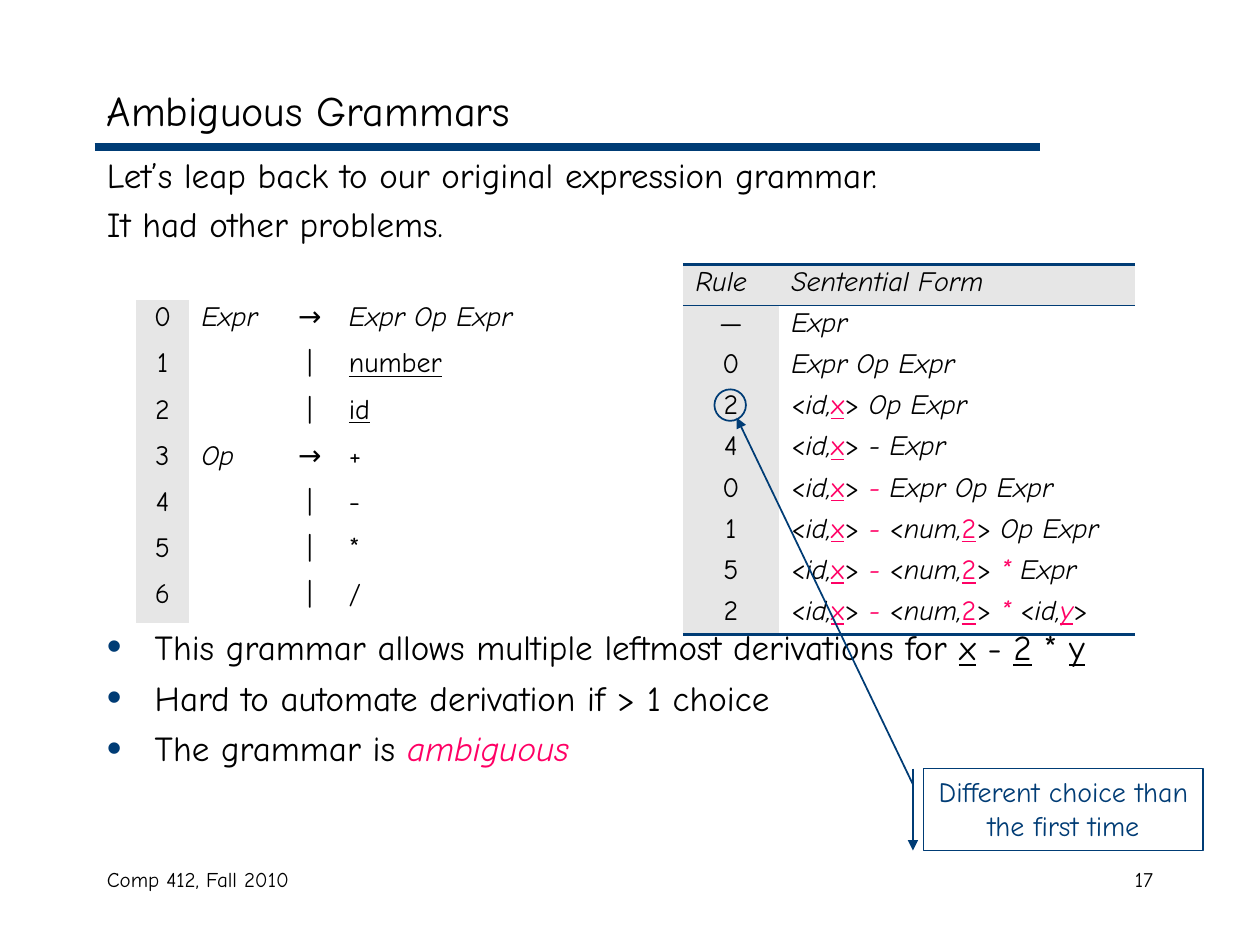
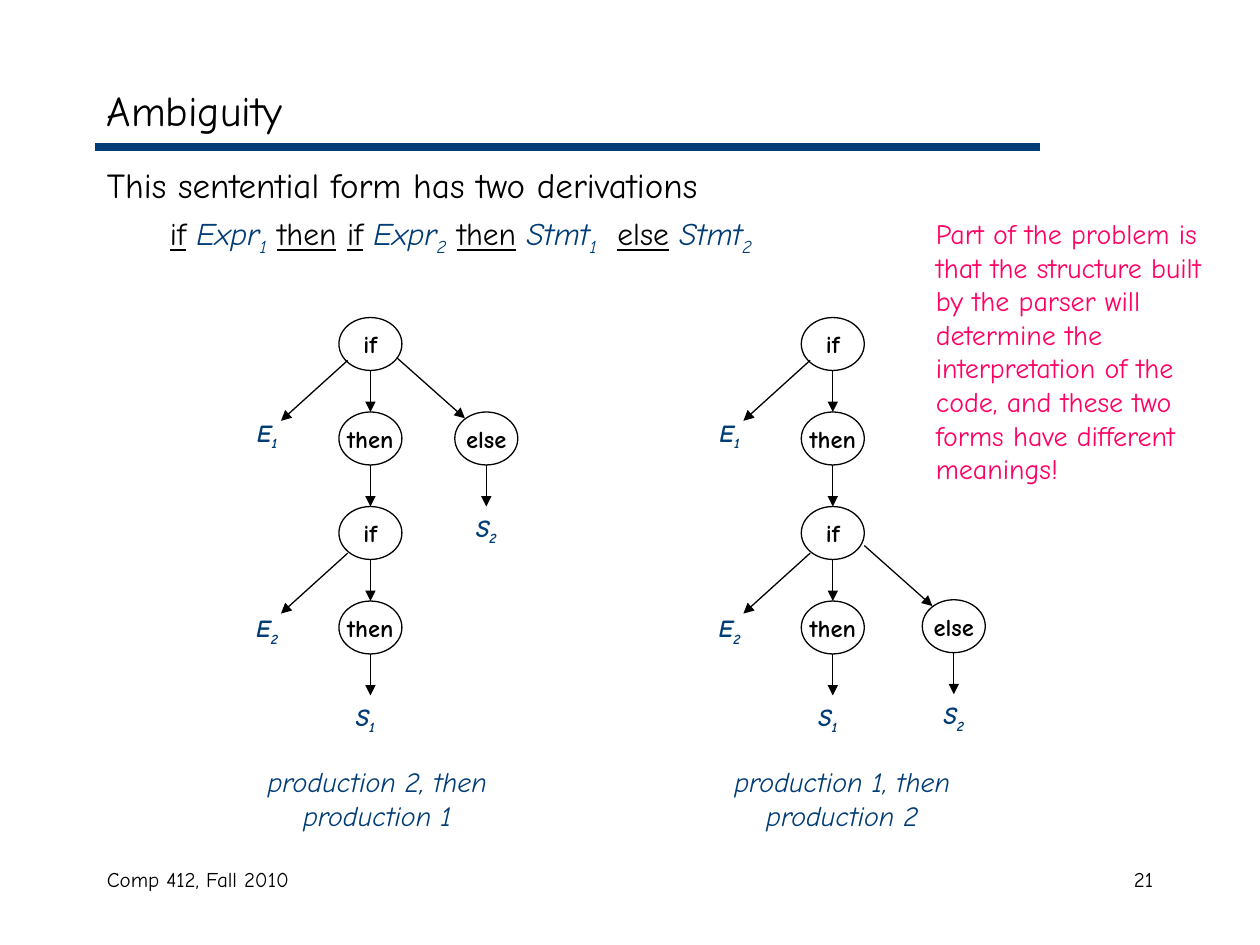
"""Build two lecture slides on ambiguous grammars."""
from lxml import etree
from pptx import Presentation
from pptx.dml.color import RGBColor
from pptx.enum.shapes import MSO_CONNECTOR, MSO_SHAPE
from pptx.enum.text import MSO_ANCHOR, PP_ALIGN
from pptx.oxml.ns import qn
from pptx.util import Inches, Pt

NAVY = RGBColor(0x00, 0x3C, 0x75)
PINK = RGBColor(0xFF, 0x00, 0x65)
GREY = RGBColor(0xE6, 0xE6, 0xE6)
BLACK = RGBColor(0, 0, 0)
FONT = "Comic Neue"
LEFT, CENTER, RIGHT = PP_ALIGN.LEFT, PP_ALIGN.CENTER, PP_ALIGN.RIGHT
TOP, MIDDLE = MSO_ANCHOR.TOP, MSO_ANCHOR.MIDDLE
OVAL = MSO_SHAPE.OVAL
CALLOUT = MSO_SHAPE.LINE_CALLOUT_1_BORDER_AND_ACCENT_BAR
STRAIGHT = MSO_CONNECTOR.STRAIGHT
NO_GRID = "{2D5ABB26-0587-4C30-8999-92F81FD0307C}"
MARKS = {"b": "bold", "i": "italic", "u": "underline"}
INKS = {"n": NAVY, "p": PINK}


def say(para, runs, size=16, align=LEFT):
    """Write (text, marks) runs: b, i, u, n navy, p pink, s subscript."""
    para.alignment = align
    for text, marks in runs:
        run = para.add_run()
        run.text = text
        font = run.font
        font.name, font.size, font.color.rgb = FONT, Pt(size), BLACK
        for mark in marks:
            if mark in MARKS:
                setattr(font, MARKS[mark], True)
            elif mark in INKS:
                font.color.rgb = INKS[mark]
            else:
                run._r.get_or_add_rPr().set("baseline", "-25000")


def box(slide, at, runs, size=16, align=LEFT):
    """Add a wrapping text box and return it."""
    shape = slide.shapes.add_textbox(*map(Inches, at))
    shape.text_frame.word_wrap = True
    say(shape.text_frame.paragraphs[0], runs, size, align)
    return shape


deck = Presentation()
deck.slide_width, deck.slide_height = Inches(10), Inches(7.5)

for title, page in (("Ambiguous Grammars", "17"), ("Ambiguity", "21")):
    slide = deck.slides.add_slide(deck.slide_layouts[6])
    bar = slide.shapes.add_connector(STRAIGHT, Inches(0.75), Inches(1.17), Inches(8.25), Inches(1.17))
    bar.line.color.rgb, bar.line.width = NAVY, Pt(4.5)
    head = box(slide, (0.75, 0.58, 8.5, 0.58), [(title, "")], 24)
    head.text_frame.vertical_anchor = MIDDLE
    box(slide, (0.75, 6.83, 3.17, 0.5), [("Comp 412, Fall 2010", "")], 12)
    box(slide, (7.17, 6.83, 2.08, 0.5), [(page, "")], 12, RIGHT)

first, second = deck.slides

body = box(first, (0.75, 1.17, 8.83, 5.42),
           [("Let’s leap back to our original expression grammar.", "")], 20).text_frame
para = body.add_paragraph()
para.space_before = Pt(4)
say(para, [("It had other problems.", "")], 20)
points = [
    (217.6, [("This grammar allows multiple leftmost derivations for ", ""), ("x", "u"), (" - ", ""),
             ("2", "u"), (" * ", ""), ("y", "u")]),
    (5, [("Hard to automate derivation if > 1 choice", "")]),
    (5, [("The grammar is ", ""), ("ambiguous", "pi")]),
]
for gap, runs in points:
    para = body.add_paragraph()
    props = para._p.get_or_add_pPr()
    props.set("marL", str(Inches(0.38)))
    props.set("indent", str(-Inches(0.38)))
    tint = etree.SubElement(props, qn("a:buClr"))
    etree.SubElement(tint, qn("a:srgbClr"), val=str(NAVY))
    etree.SubElement(props, qn("a:buSzPct"), val="120000")
    etree.SubElement(props, qn("a:buFont"), typeface="Arial")
    etree.SubElement(props, qn("a:buChar"), char="•")
    para.space_before = Pt(gap)
    say(para, runs, 20)

rules = [("Expr", "→", "Expr Op Expr", "i"), ("", "|", "number", "u"), ("", "|", "id", "u"),
         ("Op", "→", "+", ""), ("", "|", "-", ""), ("", "|", "*", ""), ("", "|", "/", "")]
grammar = [[[(str(num), "")], [(name, "i")] if name else [], [(sign, "")], [(form, mark)]]
           for num, (name, sign, form, mark) in enumerate(rules)]

ID_X = [("<", ""), ("id,", "i"), ("x", "pu"), (">", "")]
NUM_2 = [("<", ""), ("num,", "i"), ("2", "pu"), (">", "")]
ID_Y = [("<", ""), ("id,", "i"), ("y", "piu"), (">", "")]
MINUS, TIMES = [(" - ", "pi")], [(" * ", "pi")]
steps = [
    ("—", [("Expr", "i")]),
    ("0", [("Expr Op Expr", "i")]),
    ("2", ID_X + [(" Op Expr", "i")]),
    ("4", ID_X + [(" - Expr", "i")]),
    ("0", ID_X + MINUS + [("Expr Op Expr", "i")]),
    ("1", ID_X + MINUS + NUM_2 + [(" Op Expr", "i")]),
    ("5", ID_X + MINUS + NUM_2 + TIMES + [("Expr", "i")]),
    ("2", ID_X + MINUS + NUM_2 + TIMES + ID_Y),
]
proof = [[[("Rule", "i")], [("Sentential Form", "i")]]]
proof += [[[(rule, "")], form] for rule, form in steps]

tables = [
    ((1.08, 2.38, 3.34, 2.56), (0.42, 0.75, 0.42, 1.75), grammar, (0, 2), None, {}),
    ((5.42, 2.1, 3.59, 2.94), (0.76, 2.83), proof, (0,), 0,
     {0: {"lnT": 2.25, "lnB": 1}, 1: {"lnT": 1}, 8: {"lnB": 2.25}}),
]
for at, widths, rows, mids, top, edges in tables:
    table = first.shapes.add_table(len(rows), len(widths), *map(Inches, at)).table
    table.first_row = table.horz_banding = False
    table._tbl.tblPr.find(qn("a:tableStyleId")).text = NO_GRID
    for col, width in zip(table.columns, widths):
        col.width = Inches(width)
    for r, row in enumerate(rows):
        rims = edges.get(r, {})
        for c, runs in enumerate(row):
            cell = table.cell(r, c)
            para = cell.text_frame.paragraphs[0]
            para.line_spacing = 0.8
            say(para, runs, 16, CENTER if c in mids and r != top else LEFT)
            if not runs:
                etree.SubElement(para._p, qn("a:endParaRPr"), sz="1600")
            if c == 0 or r == top:
                cell.fill.solid()
                cell.fill.fore_color.rgb = GREY
            else:
                cell.fill.background()
            for side in ("lnB", "lnT", "lnR", "lnL"):
                edge = etree.Element(qn("a:" + side))
                if side in rims:
                    edge.set("w", str(Pt(rims[side])))
                    fill = etree.SubElement(edge, qn("a:solidFill"))
                    etree.SubElement(fill, qn("a:srgbClr"), val=str(NAVY))
                else:
                    etree.SubElement(edge, qn("a:noFill"))
                cell._tc.get_or_add_tcPr().insert(0, edge)

ring = first.shapes.add_shape(OVAL, Inches(5.67), Inches(3.09), Inches(0.25), Inches(0.25))
note = first.shapes.add_shape(CALLOUT, Inches(7.33), Inches(6.1), Inches(2.22), Inches(0.65))
for shape in (ring, note):
    shape.shadow.inherit = False
    shape.fill.background()
    shape.line.color.rgb, shape.line.width = NAVY, Pt(1)
for i, value in enumerate((0.194, -0.038, -4.285, -0.668)):
    note.adjustments[i] = value
etree.SubElement(note.line._get_or_add_ln(), qn("a:tailEnd"), type="triangle")
note.text_frame.word_wrap = True
note.text_frame.vertical_anchor = TOP
say(note.text_frame.paragraphs[0], [("Different choice than the first time", "n")], 16, CENTER)

body = box(second, (0.75, 1.25, 8.5, 5.42),
           [("This sentential form has two derivations", "")], 20).text_frame
para = body.add_paragraph()
para._p.get_or_add_pPr().set("marL", str(Inches(0.5)))
para.space_before = Pt(5)
say(para, [("if", "u"), (" ", ""), ("Expr", "ni"), ("1", "nis"), (" ", ""), ("then", "u"), (" ", ""),
           ("if", "u"), (" ", ""), ("Expr", "ni"), ("2", "nis"), (" ", ""), ("then", "u"), (" ", ""),
           ("Stmt", "ni"), ("1", "nis"), (" ", ""), ("else", "u"), (" ", ""),
           ("Stmt", "ni"), ("2", "nis")], 18)
para.runs[-5]._r.get_or_add_rPr().set("spc", "570")

STEP, DROP = 0.75, 0.33
trees = [(2.69, 3.61, 3.27, 1.87, "production 2, then production 1"),
         (6.36, 7.32, 4.76, 5.56, "production 1, then production 2")]
for x, alt_x, alt_y, cap_x, cap in trees:
    nodes = [(x, 2.52 + STEP * i, word) for i, word in enumerate(("if", "then") * 2)]
    nodes.append((alt_x, alt_y, "else"))
    for left, top, word in nodes:
        node = second.shapes.add_shape(OVAL, Inches(left), Inches(top), Inches(0.5), Inches(0.42))
        node.shadow.inherit = False
        node.fill.background()
        node.line.color.rgb, node.line.width = BLACK, Pt(0.75)
        node.text_frame.word_wrap = False
        node.text_frame.vertical_anchor = MIDDLE
        say(node.text_frame.paragraphs[0], [(word, "b")], 14, CENTER)

    leaves = [(x - 0.86, 3.27, "E", "1"), (x - 0.86, 4.82, "E", "2"),
              (x - 0.08, 5.52, "S", "1"), (alt_x - 0.04, alt_y + STEP, "S", "2")]
    for left, top, name, sub in leaves:
        leaf = box(second, (left, top, 0.58, 0.33), [(name, "nbi"), (sub, "nbis")], 14, CENTER)

    lines = [(x + 0.25, 2.94 + STEP * i, 0, DROP) for i in range(4)]
    lines += [(x + 0.07, top, -0.53, 0.48) for top in (2.86, 4.39)]
    lines += [(alt_x - 0.46, alt_y - 0.43, 0.54, 0.48), (alt_x + 0.25, alt_y + 0.42, 0, DROP)]
    for left, top, run, fall in lines:
        arrow = second.shapes.add_connector(STRAIGHT, Inches(left), Inches(top),
                                            Inches(left + run), Inches(top + fall))
        arrow.line.color.rgb, arrow.line.width = BLACK, Pt(0.75)
        etree.SubElement(arrow.line._get_or_add_ln(), qn("a:tailEnd"), type="triangle")
    arrow.end_connect(leaf, 0)
    box(second, (cap_x, 6.02, 2.25, 0.65), [(cap, "ni")], 16, CENTER)

box(second, (7.33, 1.67, 2.5, 2.24),
    [("Part of the problem is that the structure built by the parser will determine the "
      "interpretation of the code, and these two forms have different meanings!", "p")])

for slide in deck.slides:
    for line in slide.shapes._spTree.iter(qn("p:cxnSp")):
        etree.SubElement(line.spPr, qn("a:effectLst"))

deck.save("out.pptx")
